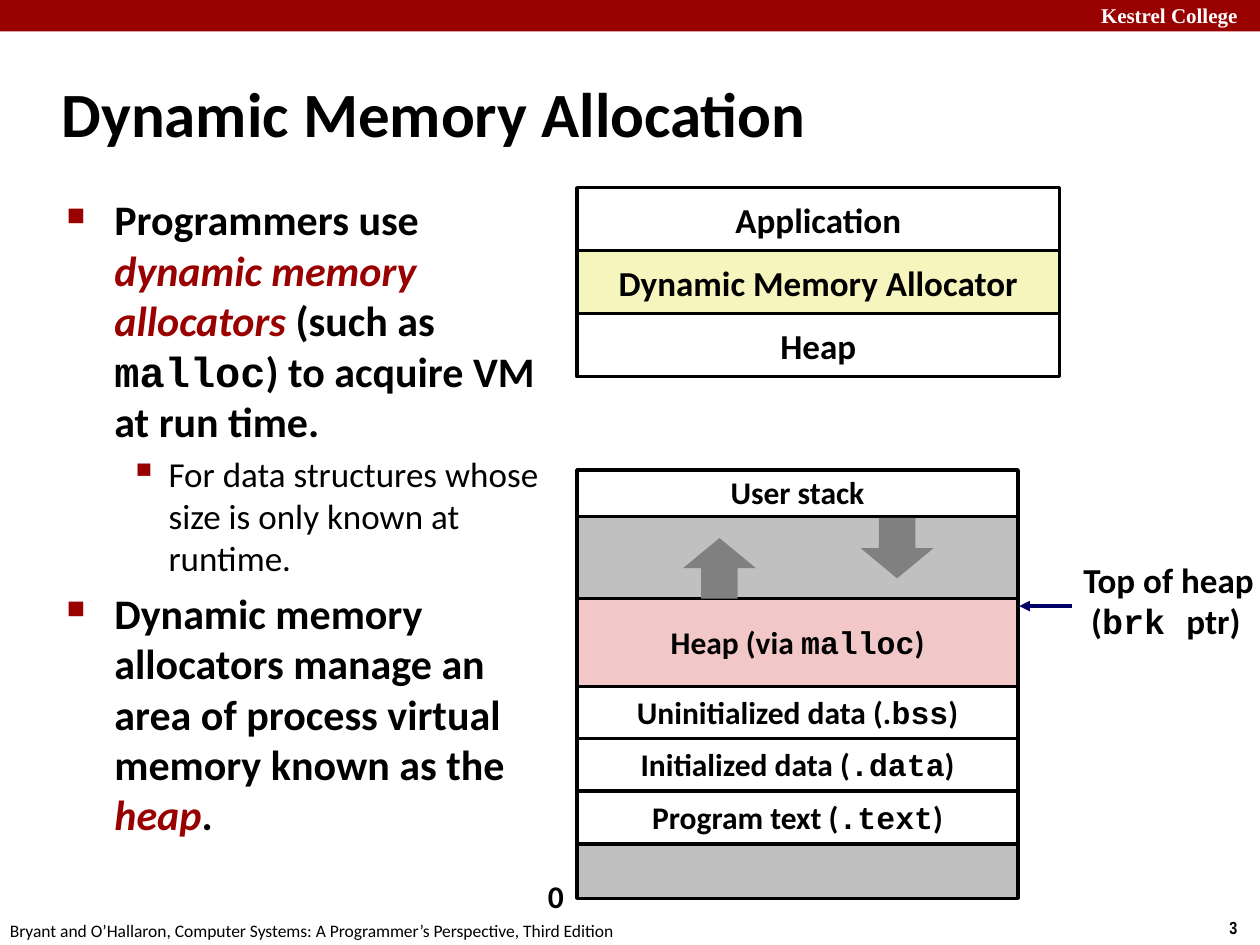
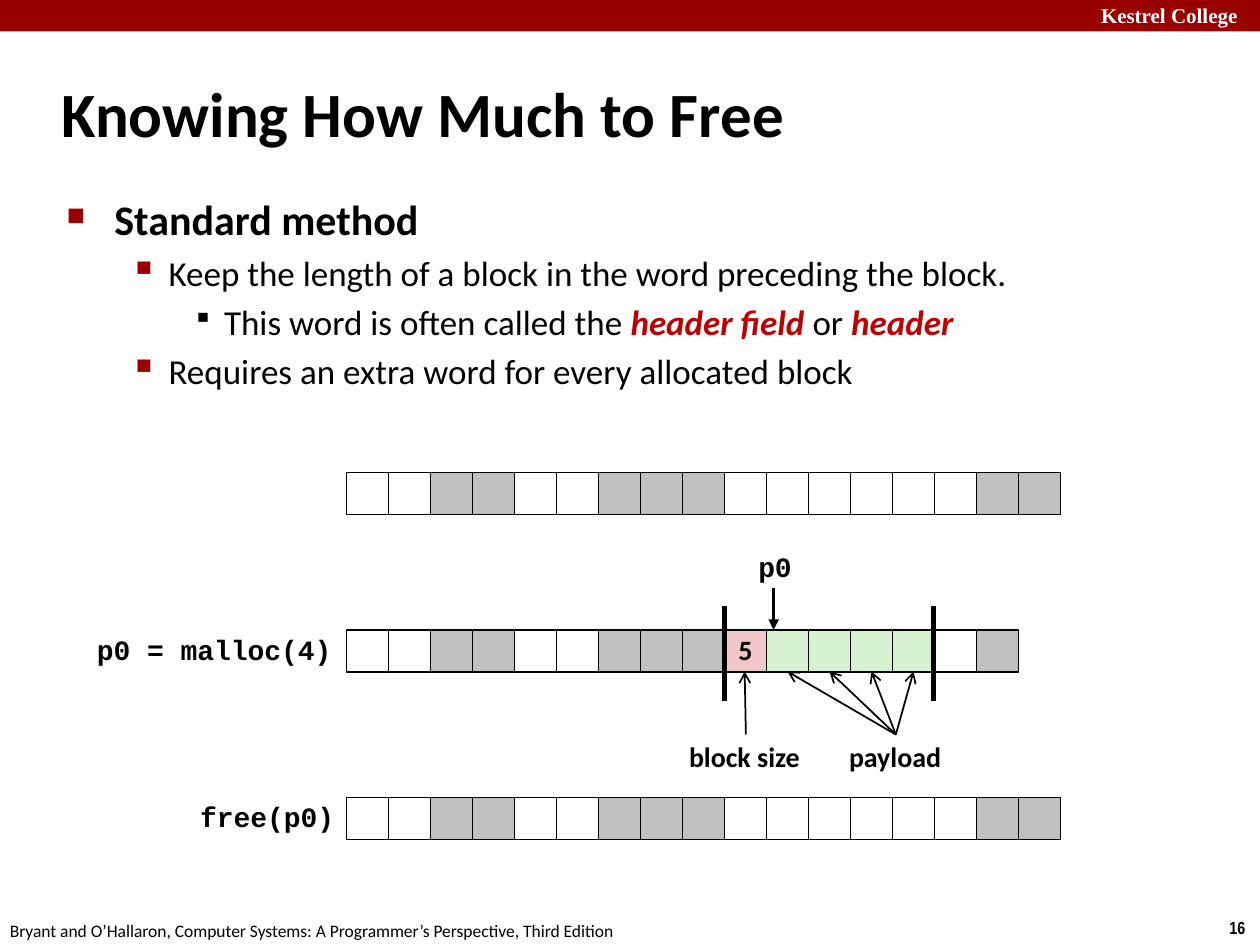
from lxml.etree import SubElement
from pptx import Presentation
from pptx.dml.color import RGBColor
from pptx.enum.shapes import MSO_CONNECTOR, MSO_SHAPE
from pptx.enum.text import MSO_ANCHOR, MSO_AUTO_SIZE, PP_ALIGN
from pptx.oxml.ns import qn
from pptx.util import Inches, Pt


class Theme:
    red, deep, navy = "990000", "C00000", "000066"
    black, white = "000000", "FFFFFF"
    gray, dark = "C0C0C0", "808080"
    pink, green, yellow = "F1C7C7", "D5F1CF", "F6F5BD"
    sans, mono, serif, narrow = "Calibri", "Courier New", "Times New Roman", "Arial Narrow"
    title, main, sub, label, code, brand, foot = 36, 24, 20, 18, 16, 12, 10
    # Per bullet level: indent, hang, mark, mark size, mark colour, text size, bold
    levels = [
        (0.38, 0.38, "■", 60, red, main, True),
        (0.81, 0.31, "▪", 110, red, sub, False),
        (1.25, 0.25, "▪", 80, black, sub, False),
    ]


def box(page, at, text="", size=Theme.label, fill=None, line=None, kind=None,
        font=Theme.sans, color=Theme.black, bold=True, wrap=False, fit=False,
        anchor=MSO_ANCHOR.TOP, space=None):
    """Draw a shape or text box; "|" parts runs, marked ` mono, * red, ! deep red."""
    at = [Inches(n) for n in at]
    if kind is None:
        shape = page.shapes.add_textbox(*at)
    else:
        shape = page.shapes.add_shape(kind, *at)
        shape.shadow.inherit = False
        shape.fill.solid()
        shape.fill.fore_color.rgb = RGBColor.from_string(fill)
        if line:
            shape.line.color.rgb = RGBColor.from_string(Theme.black)
            shape.line.width = Pt(line)
        else:
            shape.line.fill.background()
        anchor = MSO_ANCHOR.MIDDLE
    frame = shape.text_frame
    frame.word_wrap = wrap
    frame.vertical_anchor = anchor
    frame.auto_size = MSO_AUTO_SIZE.SHAPE_TO_FIT_TEXT if fit else MSO_AUTO_SIZE.NONE
    frame.text = "\n".join(row.split("|")[0] for row in text.split("\n"))
    for para, row in zip(frame.paragraphs, text.split("\n")):
        para.alignment = PP_ALIGN.CENTER if kind else PP_ALIGN.LEFT
        para.line_spacing = space
        for part in row.split("|")[1:]:
            para.add_run().text = part
        for run in para.runs:
            mark = run.text[:1]
            if mark in ("`", "*", "!"):
                run.text = run.text[1:]
            tint = {"*": Theme.red, "!": Theme.deep}.get(mark)
            run.font.name = Theme.mono if mark == "`" else font
            run.font.size = Pt(size)
            run.font.bold = bold or bool(tint)
            run.font.italic = bool(tint)
            run.font.color.rgb = RGBColor.from_string(tint or color)
    return shape


def link(page, start, end, width, color=Theme.black, head=None):
    """Draw a straight line, with an arrowhead at its end if head is given."""
    line = page.shapes.add_connector(
        MSO_CONNECTOR.STRAIGHT, *[Inches(n) for n in (*start, *end)])
    line.line.color.rgb = RGBColor.from_string(color)
    line.line.width = Pt(width)
    if head:
        SubElement(line.line._get_or_add_ln(), qn("a:tailEnd"), type=head)
    SubElement(line._element.spPr, qn("a:effectLst"))


deck = Presentation()
deck.slide_width, deck.slide_height = Inches(10), Inches(7.5)
rect = MSO_SHAPE.RECTANGLE

# Title, number, body width and bullets (level, text) of each slide
talk = [
    ("Dynamic Memory Allocation", "3", 4.14, [
        (0, "Programmers use |*dynamic memory allocators |(such as |`malloc|"
            ") to acquire VM at run time."),
        (1, "For data structures whose size is only known at runtime."),
        (0, "Dynamic memory allocators manage an area of process virtual "
            "memory known as the |*heap|."),
    ]),
    ("Knowing How Much to Free", "16", 8.64, [
        (0, "Standard method"),
        (1, "Keep the length of a block in the word preceding the block."),
        (2, "This word is often called the |!header field |or |!header"),
        (1, "Requires an extra word for every allocated block"),
    ]),
]

# Band, footer, title and bullets
for title, number, width, points in talk:
    page = deck.slides.add_slide(deck.slide_layouts[6])
    box(page, (0, 0, 10, 0.25), fill=Theme.red, kind=rect)
    box(page, (8.64, -0.03, 1.43, 0.3), "Kestrel College", Theme.brand,
        font=Theme.serif, color=Theme.white, wrap=True, fit=True)
    box(page, (9.66, 7.23, 0.34, 0.27), number, Theme.foot, font=Theme.narrow, fit=True)
    box(page, (-0.02, 7.25, 5.08, 0.27),
        "Bryant and O’Hallaron, Computer Systems: A Programmer’s Perspective, Third Edition",
        Theme.foot, bold=False, fit=True)
    box(page, (0.39, 0.48, 8.3, 0.83), title, Theme.title, wrap=True,
        anchor=MSO_ANCHOR.MIDDLE)
    body = box(page, (0.43, 1.49, width, 5.44), "\n".join(text for _, text in points),
               bold=False, wrap=True)
    for para, (level, _) in zip(body.text_frame.paragraphs, points):
        left, hang, mark, scale, tint, size, bold = Theme.levels[level]
        para.level = level
        para.space_before = Pt(size * 0.2)
        for run in para.runs:
            run.font.size = Pt(size)
            run.font.bold = bold or run.font.bold
        props = para._p.get_or_add_pPr()
        props.set("marL", str(Inches(left)))
        props.set("indent", str(-Inches(hang)))
        SubElement(SubElement(props, qn("a:buClr")), qn("a:srgbClr"), val=tint)
        SubElement(props, qn("a:buSzPct"), val=str(scale * 1000))
        SubElement(props, qn("a:buChar"), char=mark)

first, second = deck.slides

# Slide 1: software layers
layers = [("Application", Theme.white), ("Dynamic Memory Allocator", Theme.yellow),
          ("Heap", Theme.white)]
for i, (name, fill) in enumerate(layers):
    box(first, (4.58, 1.49 + i * 0.5, 3.83, 0.5), name, Theme.sub, fill, 2, rect)

# Slide 1: memory map, from high to low addresses
areas = [
    (4.08, 0.67, Theme.gray, ""),
    (3.73, 0.37, Theme.white, "User stack"),
    (4.75, 0.72, Theme.pink, "Heap (via |`malloc|)"),
    (5.45, 0.43, Theme.white, "Uninitialized data (.|`bss|)"),
    (5.86, 0.43, Theme.white, "Initialized data (|`.data|)"),
    (6.28, 0.43, Theme.white, "Program text (|`.text|)"),
    (6.7, 0.43, Theme.gray, ""),
]
for top, high, fill, name in areas:
    box(first, (4.58, top, 3.5, high), name, Theme.label, fill, 2, rect, space=0.98)
box(first, (6.83, 4.11, 0.58, 0.48), fill=Theme.dark, kind=MSO_SHAPE.DOWN_ARROW)
box(first, (5.42, 4.27, 0.58, 0.48), fill=Theme.dark, kind=MSO_SHAPE.UP_ARROW)
box(first, (4.25, 6.93, 0.33, 0.4), "0", fit=True, space=0.98)
box(first, (8.5, 4.4, 1.56, 0.76), "Top of heap\n (|`brk |ptr)", Theme.sub,
    fit=True, space=0.98)
link(first, (8.51, 4.81), (8.09, 4.81), 2, Theme.navy, "triangle")

# Slide 2: rows of words (. free, # used, h header, p payload)
fills = {".": Theme.white, "#": Theme.gray, "h": Theme.pink, "p": Theme.green}
rows = [(3.75, "..##..###......##"), (5, "..##..###hpppp.#"), (6.33, "..##..###......##")]
step = 1 / 3
for top, words in rows:
    for i, word in enumerate(words):
        box(second, (2.75 + i * step, top, step, step), "5" if word == "h" else "",
            Theme.code, fills[word], 1, rect, space=0.98)

# Slide 2: labels
labels = [
    ((0.67, 4.99, 2.09, 0.36), "p0 = malloc(4)", Theme.mono, 0.94),
    ((5.92, 4.33, 0.47, 0.35), "p0", Theme.mono, 0.94),
    ((1.49, 6.32, 1.28, 0.36), "free(p0)", Theme.mono, 0.94),
    ((5.37, 5.83, 1.09, 0.37), "block size", Theme.sans, 0.98),
    ((6.64, 5.83, 0.94, 0.37), "payload", Theme.sans, 0.98),
]
for at, name, font, space in labels:
    box(second, at, name, Theme.code, font=font, fit=True, space=space)

# Slide 2: block bounds and pointers
for x in (5.75, 7.41):
    link(second, (x, 4.81), (x, 5.56), 3)
link(second, (6.14, 4.67), (6.14, 5), 2, head="triangle")
link(second, (5.92, 5.83), (5.91, 5.33), 1, head="arrow")
for i in range(4):
    link(second, (7.11, 5.83), (6.25 + i * step, 5.33), 1, head="arrow")

deck.save("out.pptx")
